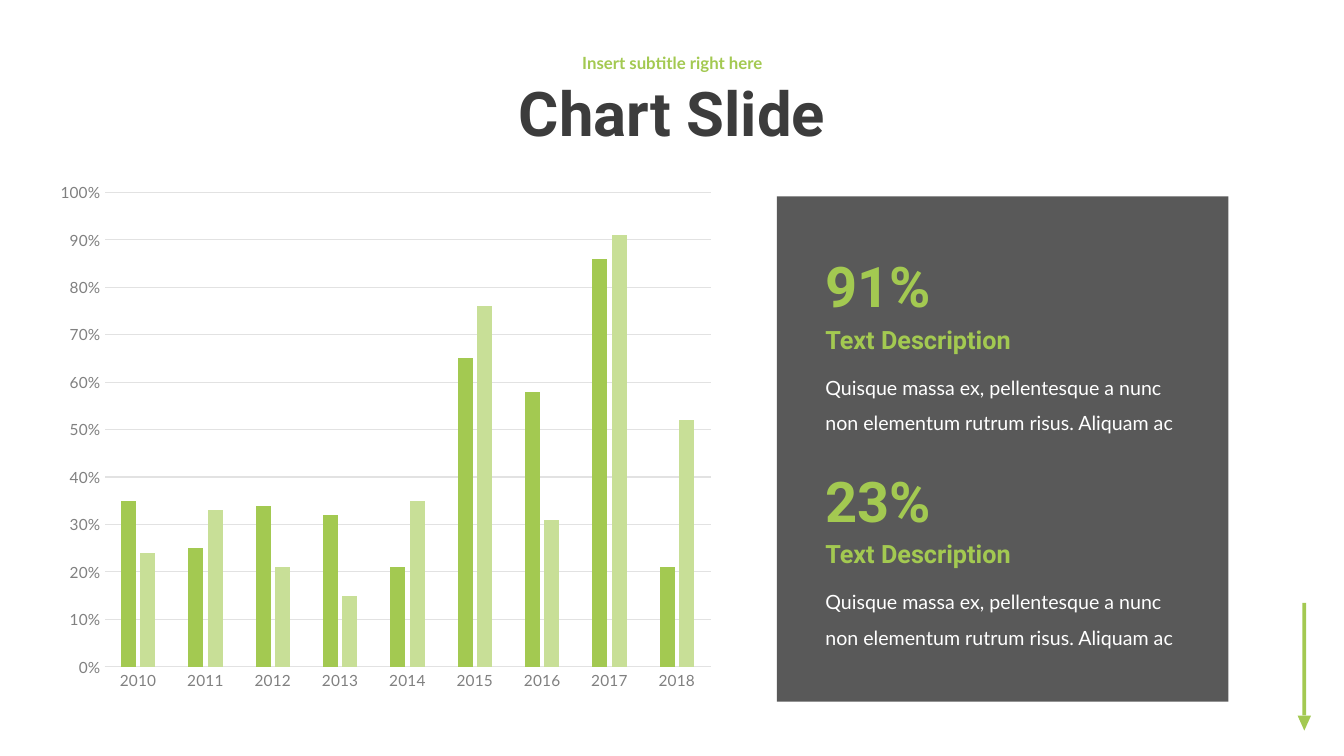
from dataclasses import dataclass

from pptx import Presentation
from pptx.chart.data import CategoryChartData
from pptx.dml.color import RGBColor
from pptx.enum.chart import XL_CHART_TYPE, XL_TICK_MARK
from pptx.enum.shapes import MSO_SHAPE
from pptx.enum.text import MSO_ANCHOR, MSO_AUTO_SIZE, PP_ALIGN
from pptx.oxml import parse_xml
from pptx.oxml.ns import nsdecls, qn
from pptx.util import Cm, Pt


@dataclass(frozen=True)
class Theme:
    green: RGBColor = RGBColor(0xA3, 0xC9, 0x51)
    pale: RGBColor = RGBColor(0xC8, 0xDF, 0x97)
    dark: RGBColor = RGBColor(0x3C, 0x3C, 0x3C)
    gray: RGBColor = RGBColor(0x80, 0x80, 0x80)
    rule: RGBColor = RGBColor(0xE2, 0xE2, 0xE2)
    white: RGBColor = RGBColor(0xFF, 0xFF, 0xFF)
    head: str = "Roboto"
    body: str = "Lato"
    title: Pt = Pt(44)
    sub: Pt = Pt(12)
    stat: Pt = Pt(40)
    label: Pt = Pt(18)
    text: Pt = Pt(14)
    axis: Pt = Pt(11)


theme = Theme()


def style(font, name, size, color, bold=False):
    font.name, font.size, font.bold = name, size, bold
    font.color.rgb = color


def block(kind, color, *box):
    """Add a plain filled shape; box is left, top, width, height in cm."""
    shape = slide.shapes.add_shape(kind, *map(Cm, box))
    shape.shadow.inherit = False
    shape.fill.solid()
    shape.fill.fore_color.rgb = color
    shape.line.fill.background()
    return shape


deck = Presentation()
deck.slide_width, deck.slide_height = Cm(33.87), Cm(19.05)
slide = deck.slides.add_slide(deck.slide_layouts[0])

# Down arrow at the right edge
block(MSO_SHAPE.RECTANGLE, theme.green, 32.82, 15.19, 0.1, 2.84)
tip = block(MSO_SHAPE.ISOSCELES_TRIANGLE, theme.green, 32.7, 18.03, 0.34, 0.38)
tip.rotation = 180

# Translucent panel
panel = block(MSO_SHAPE.RECTANGLE, theme.dark, 19.58, 4.95, 11.38, 12.73)
tint = panel.fill._xPr.find(qn("a:solidFill"))[0]
tint.append(parse_xml(f'<a:alpha {nsdecls("a")} val="85000"/>'))

# Title and subtitle
title, sub = slide.placeholders
heads = [
    (title, "Chart Slide", 1.63, 2.62, theme.head, theme.title, theme.dark),
    (sub, "Insert subtitle right here", 1.14, 0.97, theme.body, theme.sub, theme.green),
]
for shape, words, top, height, face, size, color in heads:
    shape.left, shape.top = Cm(7.42), Cm(top)
    shape.width, shape.height = Cm(19.05), Cm(height)
    frame = shape.text_frame
    frame.text = words
    frame.auto_size = MSO_AUTO_SIZE.NONE
    frame.vertical_anchor = MSO_ANCHOR.MIDDLE
    para = frame.paragraphs[0]
    para.alignment, para.line_spacing, para.space_before = PP_ALIGN.CENTER, 0.9, Pt(0)
    style(para.runs[0].font, face, size, color, True)

# Column chart
data = CategoryChartData(number_format="0%")
data.categories = [str(year) for year in range(2010, 2019)]
data.add_series("Series 1", (0.35, 0.25, 0.34, 0.32, 0.21, 0.65, 0.58, 0.86, 0.21))
data.add_series("Series 2", (0.24, 0.33, 0.21, 0.15, 0.35, 0.76, 0.31, 0.91, 0.52))
chart = slide.shapes.add_chart(
    XL_CHART_TYPE.COLUMN_CLUSTERED, Cm(1.12), Cm(4.6), Cm(17.2), Cm(13.64), data
).chart
chart.has_legend = chart.has_title = False
style(chart.font, theme.body, theme.axis, theme.dark)

plot = chart.plots[0]
plot.gap_width, plot.overlap, plot.vary_by_categories = 219, -27, False
for series, color in zip(plot.series, (theme.green, theme.pale)):
    series.format.fill.solid()
    series.format.fill.fore_color.rgb = color

years, share = chart.category_axis, chart.value_axis
for axis in (years, share):
    axis.major_tick_mark = axis.minor_tick_mark = XL_TICK_MARK.NONE
    style(axis.tick_labels.font, theme.body, theme.axis, theme.gray)
share.minimum_scale, share.maximum_scale, share.major_unit = 0, 1, 0.1
share.tick_labels.number_format = "0%"
share.tick_labels.number_format_is_linked = False
share.format.line.fill.background()
for line in (years.format.line, share.major_gridlines.format.line):
    line.color.rgb, line.width = theme.rule, Pt(0.75)

# Fixed inner plot area
area = chart._chartSpace.chart.plotArea
for old in area.findall(qn("c:layout")):
    area.remove(old)
place = {"x": 0.088, "y": 0.018, "w": 0.888, "h": 0.877}
modes = "".join(f'<c:{key}Mode val="edge"/>' for key in "xy")
sizes = "".join(f'<c:{key} val="{val}"/>' for key, val in place.items())
area.insert(0, parse_xml(
    f'<c:layout {nsdecls("c")}><c:manualLayout><c:layoutTarget val="inner"/>'
    f"{modes}{sizes}</c:manualLayout></c:layout>"
))

# Two figures, each with a label and a description
story = "Quisque massa ex, pellentesque a nunc non elementum rutrum risus. Aliquam ac"
for row, stat in enumerate(("91%", "23%")):
    top = 6.22 + row * 5.41
    parts = [
        (stat, 0, 5.46, 1.96, theme.head, theme.stat, theme.green, True, 1),
        (story, 2.82, 9.45, 1.96, theme.body, theme.text, theme.white, False, 1.5),
        ("Text Description", 1.82, 7.42, 1.02, theme.head, theme.label, theme.green, True, 1),
    ]
    for words, drop, width, height, face, size, color, bold, space in parts:
        box = slide.shapes.add_textbox(Cm(20.55), Cm(top + drop), Cm(width), Cm(height))
        frame = box.text_frame
        frame.word_wrap = True
        frame.auto_size = MSO_AUTO_SIZE.SHAPE_TO_FIT_TEXT
        frame.text = words
        para = frame.paragraphs[0]
        para.line_spacing = space
        style(para.runs[0].font, face, size, color, bold)

deck.save("out.pptx")
